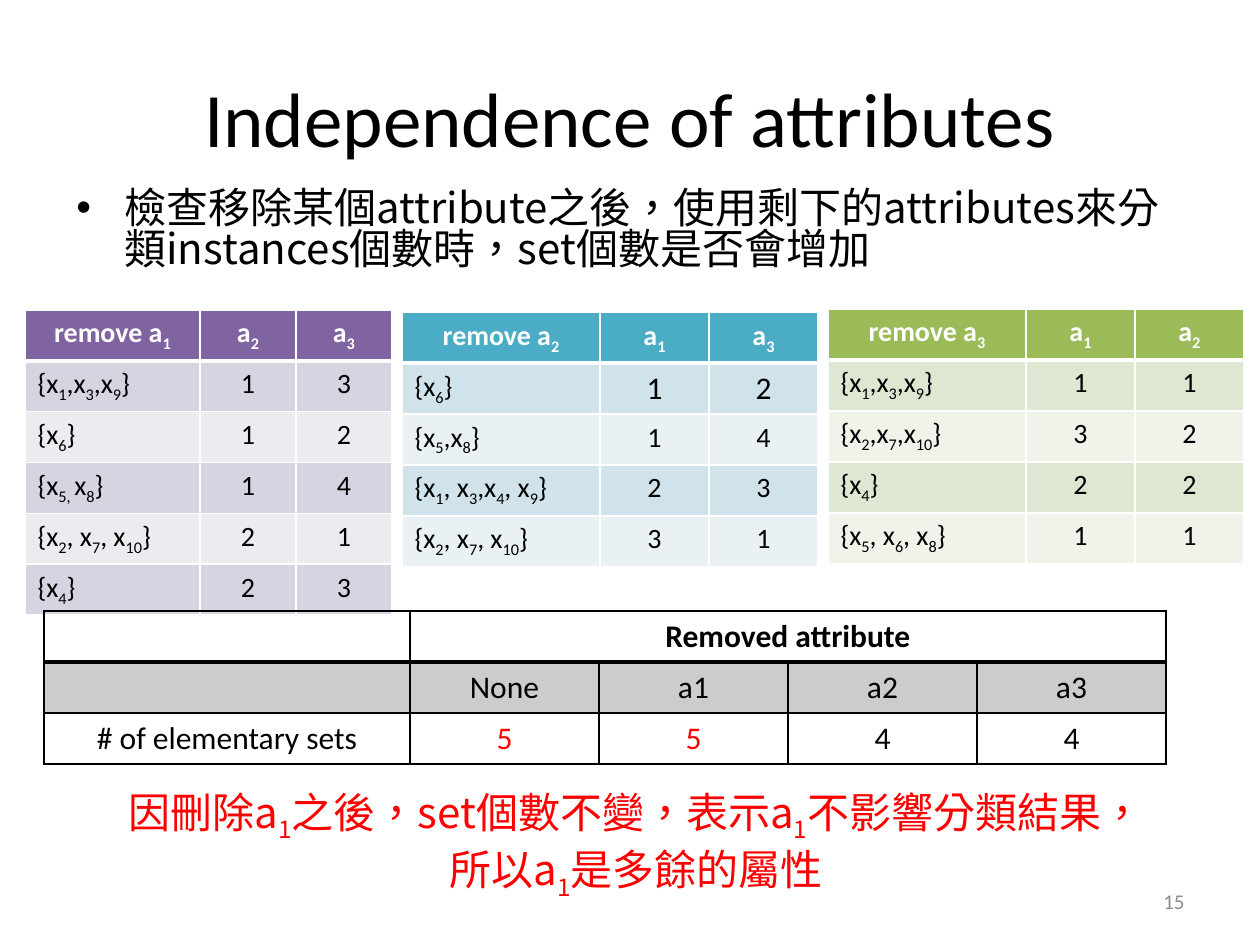
"""Build the slide on the independence of attributes."""
from dataclasses import dataclass, field

import lxml.etree
import pptx
import pptx.dml.color
import pptx.enum.text
import pptx.oxml.ns
import pptx.util

RGB = pptx.dml.color.RGBColor
ALIGN = pptx.enum.text.PP_ALIGN
ANCHOR = pptx.enum.text.MSO_ANCHOR
BLACK, WHITE = RGB(0, 0, 0), RGB(255, 255, 255)
RED, GRAY, SILVER = RGB(255, 0, 0), RGB(0x8C, 0x8C, 0x8C), RGB(0xCC, 0xCC, 0xCC)
PURPLE, LILAC, PALE_LILAC = RGB(0x80, 0x64, 0xA2), RGB(0xD8, 0xD3, 0xE0), RGB(0xED, 0xEA, 0xF0)
TEAL, AQUA, PALE_AQUA = RGB(0x4B, 0xAC, 0xC6), RGB(0xD0, 0xE3, 0xEA), RGB(0xE9, 0xF1, 0xF5)
GREEN, SAGE, PALE_SAGE = RGB(0x9B, 0xBB, 0x59), RGB(0xDE, 0xE7, 0xD1), RGB(0xEF, 0xF3, 0xEA)
LATIN, CJK = "Calibri", "Noto Sans CJK SC"
PX_PER_INCH = 126


@dataclass
class Caption:
    """A text box; parts between bars in its text are subscripts."""
    text: str
    box: tuple[int, int, int, int]
    size: int
    color: RGB
    align: ALIGN
    anchor: ANCHOR = ANCHOR.TOP
    font: str = LATIN
    bullet: bool = False


@dataclass
class Grid:
    """A table; fills and overrides go by row and by (row, column)."""
    left: int
    top: int
    columns: list[int]
    row_height: int
    rows: list[list[str]]
    fills: list[RGB | None]
    line: RGB = WHITE
    rule: int = 3
    size: int = 16
    head_color: RGB = WHITE
    lead_align: ALIGN = ALIGN.LEFT
    overrides: dict[tuple[int, int], dict] = field(default_factory=dict)


def px(length: int) -> int:
    """Turn px into EMU."""
    return round(length * 914400 / PX_PER_INCH)


def add_child(parent, tag: str, **attributes: str):
    """Append a DrawingML element."""
    return lxml.etree.SubElement(parent, pptx.oxml.ns.qn(tag), attributes)


def write(paragraph, text: str, values: dict) -> None:
    """Write runs in one format, lowering the parts between bars."""
    color = values["color"]
    font_values = {name: value for name, value in values.items() if name != "color"}
    for index, part in enumerate(text.split("|")):
        if not part:
            continue
        run = paragraph.add_run()
        run.text = part
        for name, value in font_values.items():
            setattr(run.font, name, value)
        run.font.color.rgb = color
        properties = run.font._element
        if index % 2:
            properties.set("baseline", "-25000")
        if values["name"] == CJK:
            properties.set("lang", "zh-TW")
            add_child(properties, "a:ea", typeface=CJK)


def draw_caption(slide, caption: Caption) -> None:
    """Draw one text box."""
    frame = slide.shapes.add_textbox(*map(px, caption.box)).text_frame
    for name, value in {"word_wrap": True, "vertical_anchor": caption.anchor}.items():
        setattr(frame, name, value)
    paragraph = frame.paragraphs[0]
    paragraph.alignment = caption.align
    if caption.bullet:
        paragraph.line_spacing = 0.81
        properties = paragraph._p.get_or_add_pPr()
        properties.set("marL", str(px(48)))
        properties.set("indent", str(px(-48)))
        add_child(properties, "a:buFont", typeface="Arial")
        add_child(properties, "a:buChar", char="•")
    write(paragraph, caption.text, {
        "size": pptx.util.Pt(caption.size), "name": caption.font, "color": caption.color})


def draw_borders(cell, color: RGB, widths: dict[str, int]) -> None:
    """Give a cell its four border lines, widths in points."""
    properties = cell._tc.get_or_add_tcPr()
    for side, width in widths.items():
        line = add_child(properties, f"a:ln{side}", w=str(pptx.util.Pt(width)))
        add_child(add_child(line, "a:solidFill"), "a:srgbClr", val=str(color))


def draw_grid(slide, grid: Grid) -> None:
    """Draw one table."""
    row_count, column_count = len(grid.rows), len(grid.columns)
    table = slide.shapes.add_table(
        row_count, column_count, px(grid.left), px(grid.top),
        px(sum(grid.columns)), px(grid.row_height * row_count)).table
    table.horz_banding = False
    for column, width in zip(table.columns, grid.columns):
        column.width = px(width)
    for r, (texts, fill) in enumerate(zip(grid.rows, grid.fills)):
        table.rows[r].height = px(grid.row_height)
        for c, text in enumerate(texts):
            cell = table.cell(r, c)
            draw_borders(cell, grid.line, {
                "L": 1, "R": 1, "T": grid.rule if r == 1 else 1, "B": grid.rule if r == 0 else 1})
            if fill is None:
                cell.fill.background()
            else:
                cell.fill.solid()
                cell.fill.fore_color.rgb = fill
            paragraph = cell.text_frame.paragraphs[0]
            paragraph.alignment = grid.lead_align if r and c == 0 else ALIGN.CENTER
            write(paragraph, text, {
                "size": pptx.util.Pt(grid.size), "name": LATIN, "bold": r == 0,
                "color": BLACK if r else grid.head_color, **grid.overrides.get((r, c), {})})
        if texts[2:] and not any(texts[2:]):
            table.cell(r, 1).merge(table.cell(r, column_count - 1))


GRIDS = [
    Grid(828, 309, [198, 109, 109], 51, [
        ["remove a|3|", "a|1|", "a|2|"],
        ["{x|1|,x|3|,x|9|}", "1", "1"],
        ["{x|2|,x|7|,x|10|}", "3", "2"],
        ["{x|4|}", "2", "2"],
        ["{x|5|, x|6|, x|8|}", "1", "1"],
    ], [GREEN, SAGE, PALE_SAGE, SAGE, PALE_SAGE]),
    Grid(25, 310, [175, 96, 96], 43, [
        ["remove a|1|", "a|2|", "a|3|"],
        ["{x|1|,x|3|,x|9|}", "1", "3"],
        ["{x|6|}", "1", "2"],
        ["{x|5, |x|8|}", "1", "4"],
        ["{x|2|, x|7|, x|10|}", "2", "1"],
        ["{x|4|}", "2", "3"],
    ], [PURPLE, LILAC, PALE_LILAC, LILAC, PALE_LILAC, LILAC]),
    Grid(402, 312, [198, 109, 109], 51, [
        ["remove a|2|", "a|1|", "a|3|"],
        ["{x|6|}", "1", "2"],
        ["{x|5|,x|8|}", "1", "4"],
        ["{x|1|, x|3|,x|4|, x|9|}", "2", "3"],
        ["{x|2|, x|7|, x|10|}", "3", "1"],
    ], [TEAL, AQUA, PALE_AQUA, AQUA, PALE_AQUA],
        overrides={(1, column): {"size": pptx.util.Pt(18)} for column in (1, 2)}),
    Grid(44, 611, [366] + [189] * 4, 51, [
        ["", "Removed attribute", "", "", ""],
        ["", "None", "a1", "a2", "a3"],
        ["# of elementary sets", "5", "5", "4", "4"],
    ], [None, SILVER, None], line=BLACK, rule=2, size=18, head_color=BLACK,
        lead_align=ALIGN.CENTER,
        overrides={(2, column): {"color": RED} for column in (1, 2)}),
]
HEADINGS = [
    Caption("Independence of attributes", (63, 38, 1134, 158), 44, BLACK,
            ALIGN.CENTER, ANCHOR.MIDDLE),
    Caption("檢查移除某個attribute之後，使用剩下的attributes來分類instances個數時，set個數是否會增加",
            (64, 185, 1134, 134), 24, BLACK, ALIGN.LEFT, font=CJK, bullet=True),
]
CLOSING = [
    Caption("因刪除a|1|之後，set個數不變，表示a|1|不影響分類結果，所以a|1|是多餘的屬性",
            (105, 780, 1062, 115), 24, RED, ALIGN.CENTER, font=CJK),
    Caption("15", (903, 876, 294, 50), 12, GRAY, ALIGN.RIGHT, ANCHOR.MIDDLE),
]


def main() -> None:
    """Build and save the slide."""
    deck = pptx.Presentation()
    for name, length in {"slide_width": 1260, "slide_height": 945}.items():
        setattr(deck, name, px(length))
    slide = deck.slides.add_slide(deck.slide_layouts[6])
    for caption in HEADINGS:
        draw_caption(slide, caption)
    for grid in GRIDS:
        draw_grid(slide, grid)
    for caption in CLOSING:
        draw_caption(slide, caption)
    deck.save("out.pptx")


if __name__ == "__main__":
    main()
